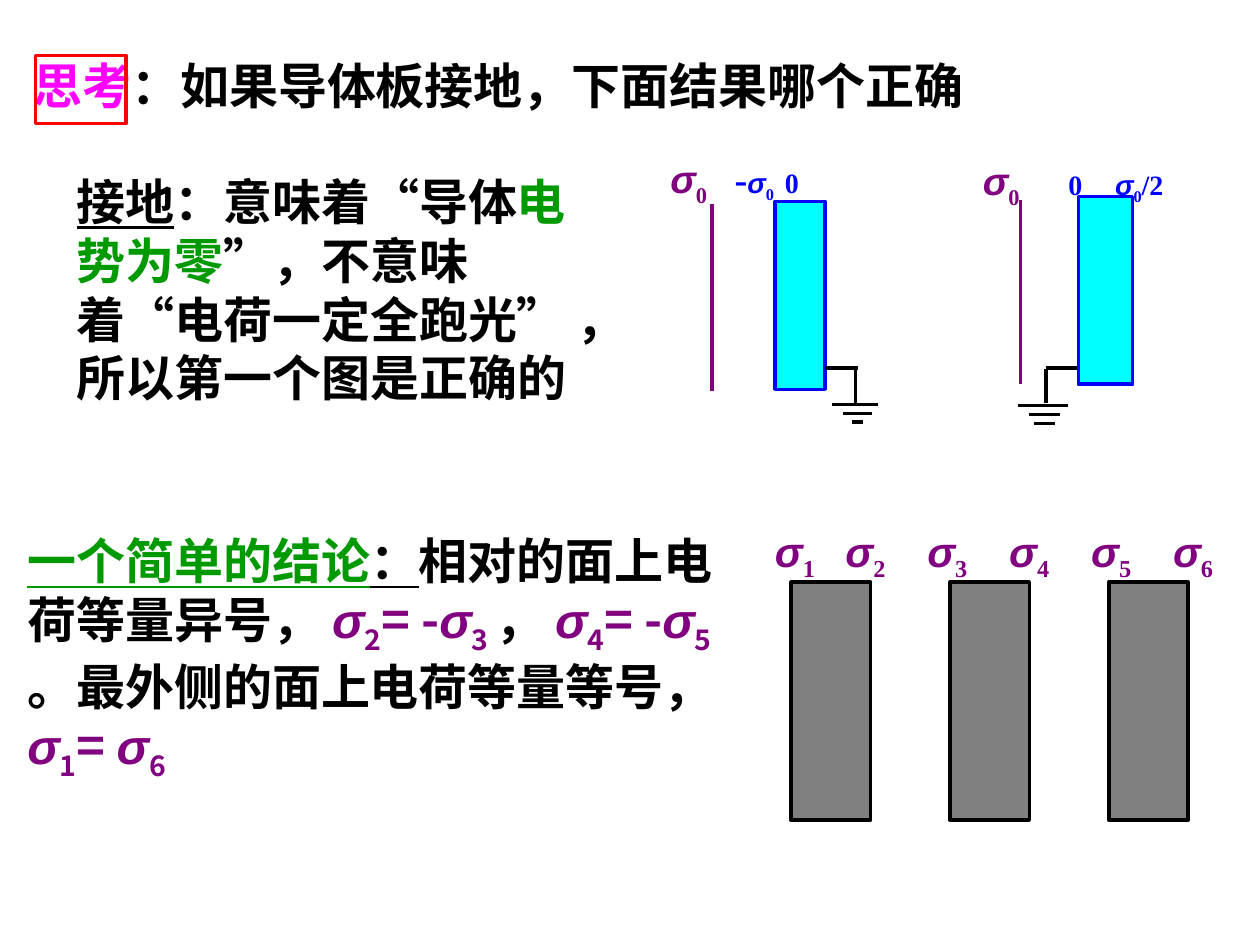
from lxml import etree
from pptx import Presentation
from pptx.dml.color import RGBColor
from pptx.enum.shapes import MSO_CONNECTOR, MSO_SHAPE
from pptx.enum.text import MSO_ANCHOR, MSO_AUTO_SIZE, PP_ALIGN
from pptx.oxml.ns import qn
from pptx.util import Inches, Pt

RECTANGLE = MSO_SHAPE.RECTANGLE
STRAIGHT = MSO_CONNECTOR.STRAIGHT
MIDDLE, TOP = MSO_ANCHOR.MIDDLE, MSO_ANCHOR.TOP
LEFT, CENTER = PP_ALIGN.LEFT, PP_ALIGN.CENTER

COLORS = {
    "black": "000000", "red": "FF0000", "magenta": "FF00FF", "green": "009900",
    "purple": "800080", "blue": "0000FF", "cyan": "00FFFF", "gray": "808080",
}
CJK, SERIF, SANS = "Noto Sans CJK SC", "Times New Roman", "Arial"
SIGMA = {"name": SANS, "italic": True}
SUB = {"baseline": -25000}


def fill_text(box, anchor, alignment, margins, runs, base, tabs=()):
    """Write one paragraph of (text, color, format) runs, each over the base format."""
    frame = box.text_frame
    frame.word_wrap = True
    frame.auto_size = MSO_AUTO_SIZE.NONE
    frame.vertical_anchor = anchor
    frame.margin_left, frame.margin_top = (Inches(m) for m in margins)
    frame.margin_right, frame.margin_bottom = (Inches(m) for m in margins)
    paragraph = frame.paragraphs[0]
    paragraph.alignment = alignment
    if tabs:
        stops = etree.SubElement(paragraph._p.get_or_add_pPr(), qn("a:tabLst"))
        for stop in tabs:
            etree.SubElement(stops, qn("a:tab"), pos=str(Inches(stop)), algn="l")
    for text, color, changes in runs:
        span = paragraph.add_run()
        span.text = text
        values = {"bold": True, **base, **changes}
        baseline = values.pop("baseline", 0)
        for key, value in values.items():
            setattr(span.font, key, value)
        span.font.color.rgb = RGBColor.from_string(COLORS[color])
        properties = span._r.get_or_add_rPr()
        if baseline:
            properties.set("baseline", str(baseline))
        etree.SubElement(properties, qn("a:ea"), typeface=CJK)


deck = Presentation()
deck.slide_width, deck.slide_height = Inches(10), Inches(7.5)
page = deck.slides.add_slide(deck.slide_layouts[5])

# Frame, charged plates and conductor slabs
rectangles = [
    (0.28, 0.44, 0.72, 0.54, None, "red"),
    (6.15, 1.6, 0.4, 1.49, "cyan", "blue"),
    (8.56, 1.56, 0.43, 1.49, "cyan", "blue"),
] + [(6.28 + 1.26 * i, 4.62, 0.63, 1.89, "gray", "black") for i in range(3)]
for left, top, width, height, fill, outline in rectangles:
    slab = page.shapes.add_shape(
        RECTANGLE, Inches(left), Inches(top), Inches(width), Inches(height))
    slab.shadow.inherit = False
    if fill:
        slab.fill.solid()
        slab.fill.fore_color.rgb = RGBColor.from_string(COLORS[fill])
    else:
        slab.fill.background()
    slab.line.color.rgb = RGBColor.from_string(COLORS[outline])
    slab.line.width = Pt(2)

# Charged sheets, then wires and ground symbols
lines = [
    (5.65, 1.62, 5.65, 3.1, "purple"),
    (8.1, 1.59, 8.1, 3.05, "purple"),
    (6.55, 2.92, 6.81, 2.92, "black"),
    (8.3, 2.92, 8.55, 2.92, "black"),
]
grounds = [
    (6.79, 3.21, [(6.6, 6.97), (6.69, 6.92), (6.76, 6.85)]),
    (8.3, 3.22, [(8.08, 8.48), (8.17, 8.41), (8.21, 8.37)]),
]
for x, y, bars in grounds:
    lines.append((x, 2.93, x, 3.2, "black"))
    for i, (start, end) in enumerate(bars):
        lines.append((start, y + 0.07 * i, end, y + 0.07 * i, "black"))
for x1, y1, x2, y2, color in lines:
    line = page.shapes.add_connector(
        STRAIGHT, Inches(x1), Inches(y1), Inches(x2), Inches(y2))
    line.line.color.rgb = RGBColor.from_string(COLORS[color])
    line.line.width = Pt(2)
    etree.SubElement(line._element.spPr, qn("a:effectLst"))

# Title
title = page.shapes.title
title.left, title.top = Inches(0.08), Inches(0.39)
title.width, title.height = Inches(7.75), Inches(0.57)
fill_text(title, MIDDLE, CENTER, (0.1, 0.05), [
    ("思考", "magenta", {}),
    ("：如果导体板接地，下面结果哪个正确", "black", {}),
], {"size": Pt(28), "name": SERIF})

# Running text
underlined, quote = {"underline": True}, {"name": SERIF}
grounding = [
    ("接地", "black", underlined), ("：意味着", "black", {}),
    ("“", "black", quote), ("导体", "black", {}), ("电势为零", "green", {}),
    ("”", "black", quote), ("，不意味着", "black", {}), ("“", "black", quote),
    ("电荷一定全跑光", "black", {}), ("”", "black", quote),
    (" ，所以第一个图是正确的", "black", {}),
]
conclusion = [
    ("一个简单的结论", "green", underlined), ("：", "black", underlined),
    ("相对的面上电荷等量异号， ", "black", {}),
    ("σ", "purple", SIGMA), ("2", "purple", SUB), ("= -", "purple", {}),
    ("σ", "purple", SIGMA), ("3 ", "purple", SUB), ("， ", "black", {}),
    ("σ", "purple", SIGMA), ("4", "purple", SUB), ("= -", "purple", {}),
    ("σ", "purple", SIGMA), ("5 ", "purple", SUB),
    ("。最外侧的面上电荷等量等号， ", "black", {}),
    ("σ", "purple", SIGMA), ("1", "purple", SUB), ("= ", "purple", {}),
    ("σ", "purple", SIGMA), ("6", "purple", SUB),
]
for left, top, width, height, runs in [
    (0.51, 1.31, 4.41, 1.97, grounding),
    (0.12, 4.13, 5.67, 2.16, conclusion),
]:
    box = page.shapes.add_textbox(
        Inches(left), Inches(top), Inches(width), Inches(height))
    fill_text(box, MIDDLE, LEFT, (0.1, 0.05), runs, {"size": Pt(28), "name": CJK})

# Charge density labels, spaced by tab stops
small = {"size": Pt(16)}
sheet = [("σ", "purple", SIGMA), ("0", "purple", SUB)]
small_sigma = [("σ", "blue", {**SIGMA, **small}), ("0", "blue", {**SUB, **small})]
first_case = sheet + [("\t-", "blue", {})] + small_sigma + [("\t0", "blue", small)]
second_case = sheet + [("\t0\t", "blue", small)] + small_sigma + [("/2", "blue", small)]
faces = []
for number in range(1, 7):
    faces += [("σ" if number == 1 else "\tσ", "purple", SIGMA),
              (str(number), "purple", SUB)]
for left, top, width, height, margin, size, runs, tabs in [
    (5.2, 1.2, 1.65, 0.44, 0.12, 22, first_case, (0.51, 0.91)),
    (7.76, 1.22, 1.89, 0.57, 0.04, 22, second_case, (0.68, 1.05)),
    (6.02, 4.14, 3.78, 0.47, 0.13, 24, faces, [0.56 + 0.65 * i for i in range(5)]),
]:
    box = page.shapes.add_textbox(
        Inches(left), Inches(top), Inches(width), Inches(height))
    fill_text(box, TOP, LEFT, (margin, 0.03), runs,
              {"size": Pt(size), "name": SERIF}, tabs)

deck.save("out.pptx")
